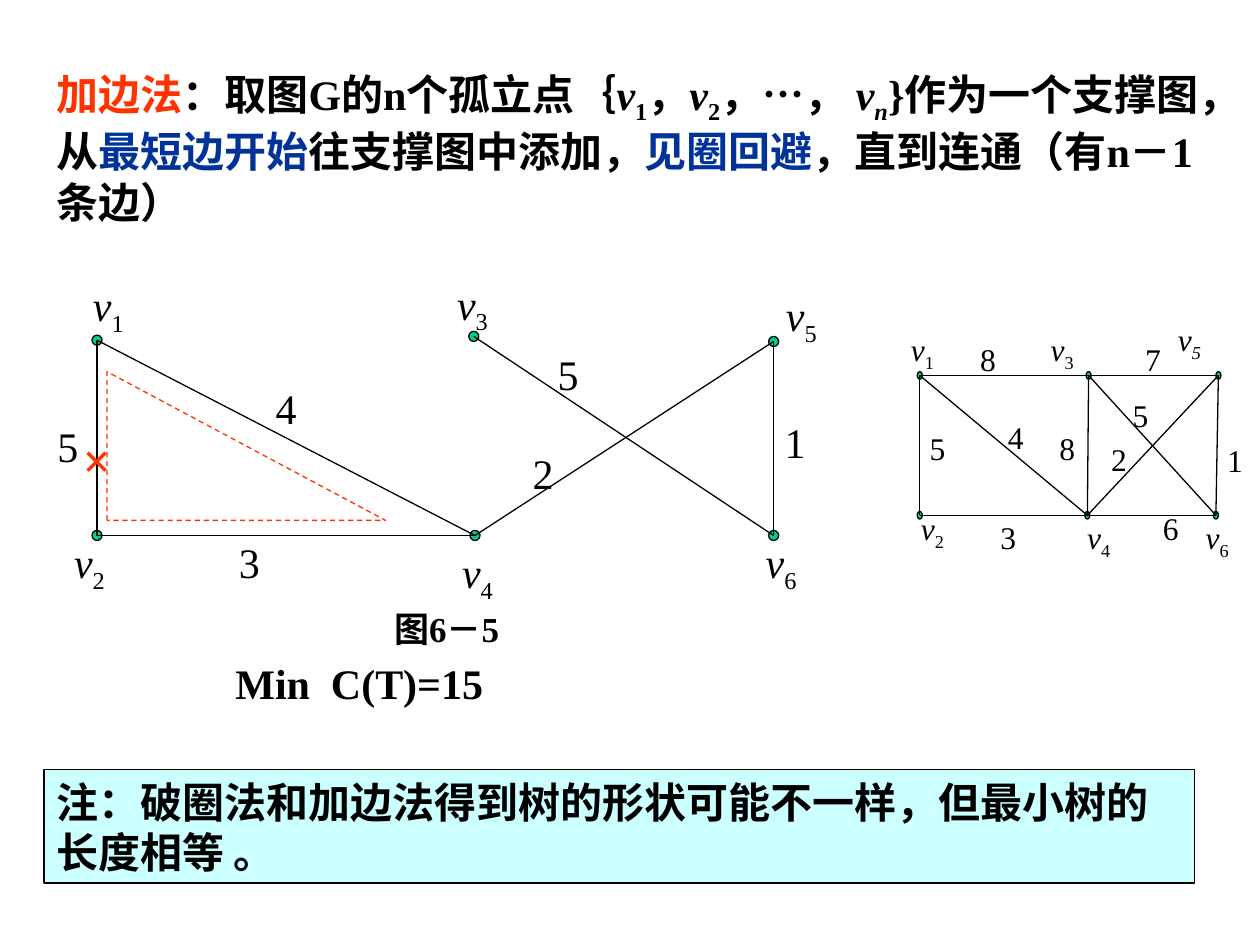
from pptx import Presentation
from pptx.dml.color import RGBColor
from pptx.enum.dml import MSO_LINE_DASH_STYLE as Dash
from pptx.enum.shapes import MSO_CONNECTOR as Conn, MSO_SHAPE as Shape
from pptx.enum.text import MSO_ANCHOR as Anchor, MSO_AUTO_SIZE as Auto, PP_ALIGN as Align
from pptx.oxml.ns import qn
from pptx.util import Inches, Pt
from lxml.etree import SubElement

COLS, ROWS = 100, 75
THEME = dict(
    font="Times New Roman", ink="000000", red="FF3300", blue="003399",
    node="00CC99", note="CCFFFF", line=0.75,
    body=24, caption=20, small=18, cross=28,
)


def vertex(sub, slant=False):
    return [("v", dict(i=True)), (sub, dict(i=slant, sub=True))]


METHOD = [
    ("加边法", dict(c="red")), ("：取图G的n个孤立点｛", {}),
    *vertex("1"), ("，", {}), *vertex("2"), ("，…， ", {}), *vertex("n", True),
    ("}作为一个支撑图，从", {}), ("最短边开始", dict(c="blue")),
    ("往支撑图中添加，", {}), ("见圈回避", dict(c="blue")),
    ("，直到连通（有n－1条边）", {}),
]
NOTE = ["注：破圈法和加边法得到树的形状可能不一样，但最小树的", "长度相等 。"]

TREE = dict(
    size="body", align=Align.CENTER, dot=(0.8, 0.8), name=(4.4, 5.6), weight=(3.6, 5),
    vertices={
        "1": (7.7, 27, 6.4, 21.7), "2": (7.7, 42.5, 4.9, 42.1),
        "3": (37.6, 26.7, 35.3, 21.6), "4": (37.7, 42.5, 35.7, 42.9),
        "5": (61.4, 27.1, 61.4, 22.5), "6": (61.4, 42.5, 59.8, 42.1),
    },
    edges=[
        ("1", "4", "4", 20.9, 29.9), ("2", "4", "3", 18, 42.1),
        ("3", "6", "5", 43.3, 27.2), ("5", "4", "2", 41.3, 35),
        ("5", "6", "1", 61.3, 32.6), ("1", "2", "5", 3.6, 32.9),
    ],
)
GRAPH = dict(
    size="small", align=Align.LEFT, dot=(0.4, 0.6), name=(3.8, 4.4), weight=(3.2, 4),
    slanted="5",
    vertices={
        "1": (73, 29.8, 71.3, 25.7), "2": (73, 40.9, 72.1, 39.9),
        "3": (86.4, 29.8, 82.4, 25.7), "4": (86.3, 40.9, 85.3, 40.6),
        "5": (96.7, 29.8, 92.5, 24.9), "6": (96.5, 40.9, 94.7, 40.6),
    },
    edges=[
        ("1", "2", "5", 72.8, 33.6), ("1", "3", "8", 76.8, 26.5),
        ("2", "4", "3", 78.4, 40.6), ("1", "4", "4", 79, 32.7),
        ("3", "4", "8", 83.1, 33.6), ("3", "5", "7", 89.9, 26.5),
        ("5", "4", "2", 87.2, 34.4), ("3", "6", "5", 88.9, 30.9),
        ("4", "6", "6", 91.3, 39.9), ("5", "6", "1", 96.4, 34.5),
    ],
)

prs = Presentation()
prs.slide_width, prs.slide_height = Inches(10), Inches(7.5)
s = prs.slides.add_slide(prs.slide_layouts[6])


def place(*cells):
    units = (prs.slide_width / COLS, prs.slide_height / ROWS)
    return [round(v * units[n % 2]) for n, v in enumerate(cells)]


def color(name):
    return RGBColor.from_string(THEME[name])


def write(sp, paragraphs, size="body", align=Align.LEFT, bold=False, c="ink",
          wrap=False, anchor=Anchor.TOP):
    tf = sp.text_frame
    tf.word_wrap, tf.vertical_anchor = wrap, anchor
    tf.auto_size = Auto.SHAPE_TO_FIT_TEXT if wrap else Auto.NONE
    if not wrap:
        tf.margin_right = 0
        if align == Align.CENTER:
            tf.margin_left = 0
    for n, runs in enumerate(paragraphs):
        p = tf.paragraphs[0] if n == 0 else tf.add_paragraph()
        p.alignment = align
        for text, style in [(runs, {})] if isinstance(runs, str) else runs:
            r = p.add_run()
            r.text = text
            r.font.name, r.font.size = THEME["font"], Pt(THEME[size])
            r.font.bold, r.font.italic = bold, style.get("i", False)
            r.font.color.rgb = color(style.get("c", c))
            if style.get("sub"):
                r._r.get_or_add_rPr().set("baseline", "-25000")


def label(box, paragraphs, **fmt):
    write(s.shapes.add_textbox(*place(*box)), paragraphs, **fmt)


def shape(kind, box, fill=None, line="ink", dash=None):
    sp = s.shapes.add_shape(kind, *place(*box))
    sp.shadow.inherit = False
    if fill:
        sp.fill.solid()
        sp.fill.fore_color.rgb = color(fill)
    else:
        sp.fill.background()
    sp.line.color.rgb, sp.line.width = color(line), Pt(THEME["line"])
    if dash:
        sp.line.dash_style = dash
    return sp


def edge(start, end):
    cx = s.shapes.add_connector(Conn.STRAIGHT, *place(*start, *end))
    cx.line.color.rgb, cx.line.width = color("ink"), Pt(THEME["line"])
    SubElement(cx._element.spPr, qn("a:effectLst"))


def draw(g):
    fmt = dict(size=g["size"], align=g["align"])
    w, h = g["dot"]
    for sub, (x, y, left, top) in g["vertices"].items():
        shape(Shape.OVAL, (x - w / 2, y - h / 2, w, h), fill="node")
        label((left, top, *g["name"]), [vertex(sub, sub == g.get("slanted"))], **fmt)
    for a, b, weight, left, top in g["edges"]:
        edge(g["vertices"][a][:2], g["vertices"][b][:2])
        label((left, top, *g["weight"]), [weight], **fmt)


label((3.5, 4.9, 93.1, 13.6), [METHOD], bold=True, wrap=True, anchor=Anchor.MIDDLE)
draw(TREE)
label((29.3, 47.7, 12.3, 4.4), ["图6－5"], size="caption", bold=True, align=Align.CENTER)
shape(Shape.RIGHT_TRIANGLE, (8.5, 29.5, 22.1, 11.8), line="red", dash=Dash.DASH)
draw(GRAPH)
label((5.6, 33.6, 4.2, 5.7), ["×"], size="cross", bold=True, c="red")
label((17.7, 51.7, 32.3, 5), ["Min  C(T)=15"], bold=True, wrap=True)
write(shape(Shape.RECTANGLE, (3.5, 61.1, 91.3, 9), fill="note"), NOTE, bold=True, wrap=True)

prs.save("out.pptx")
